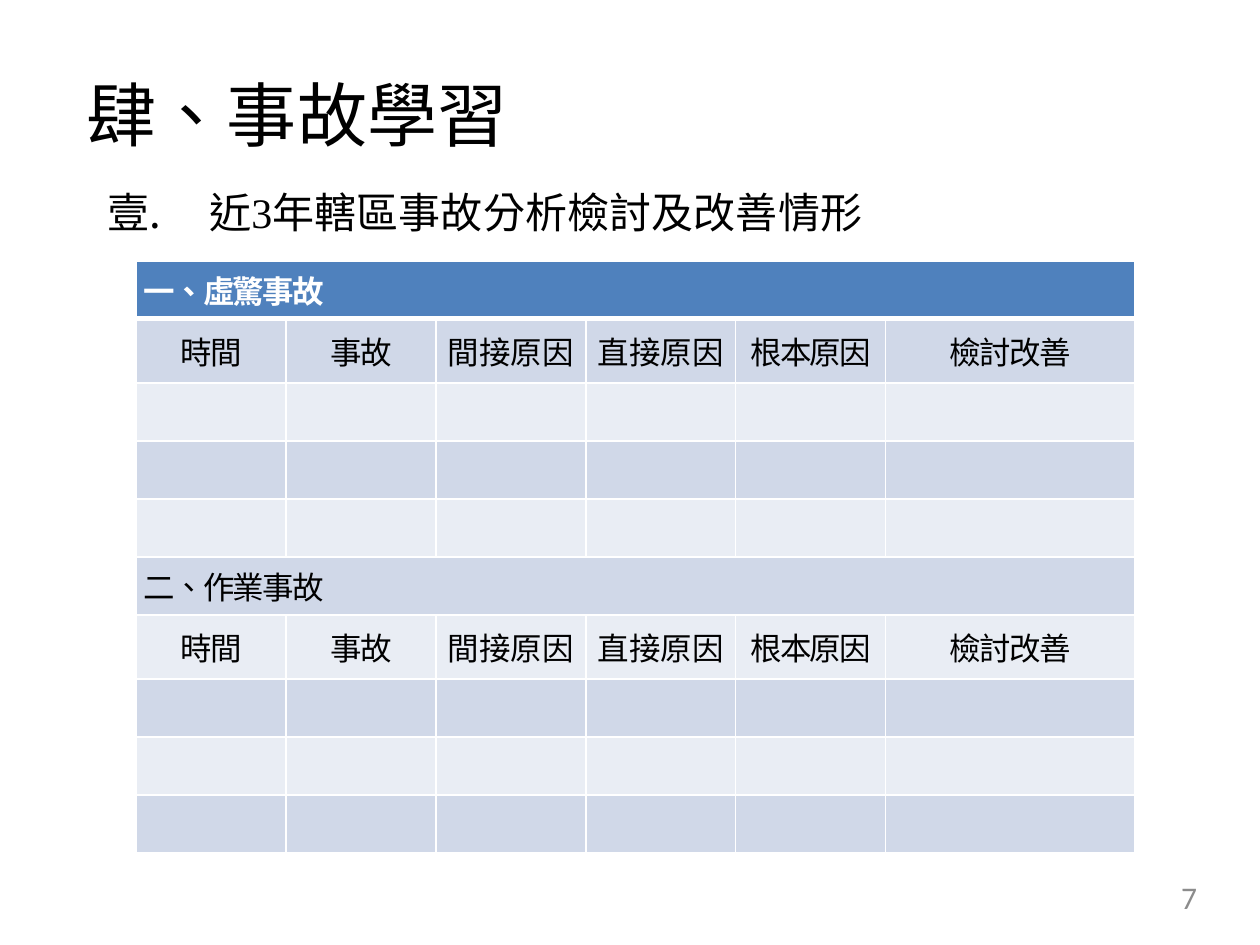
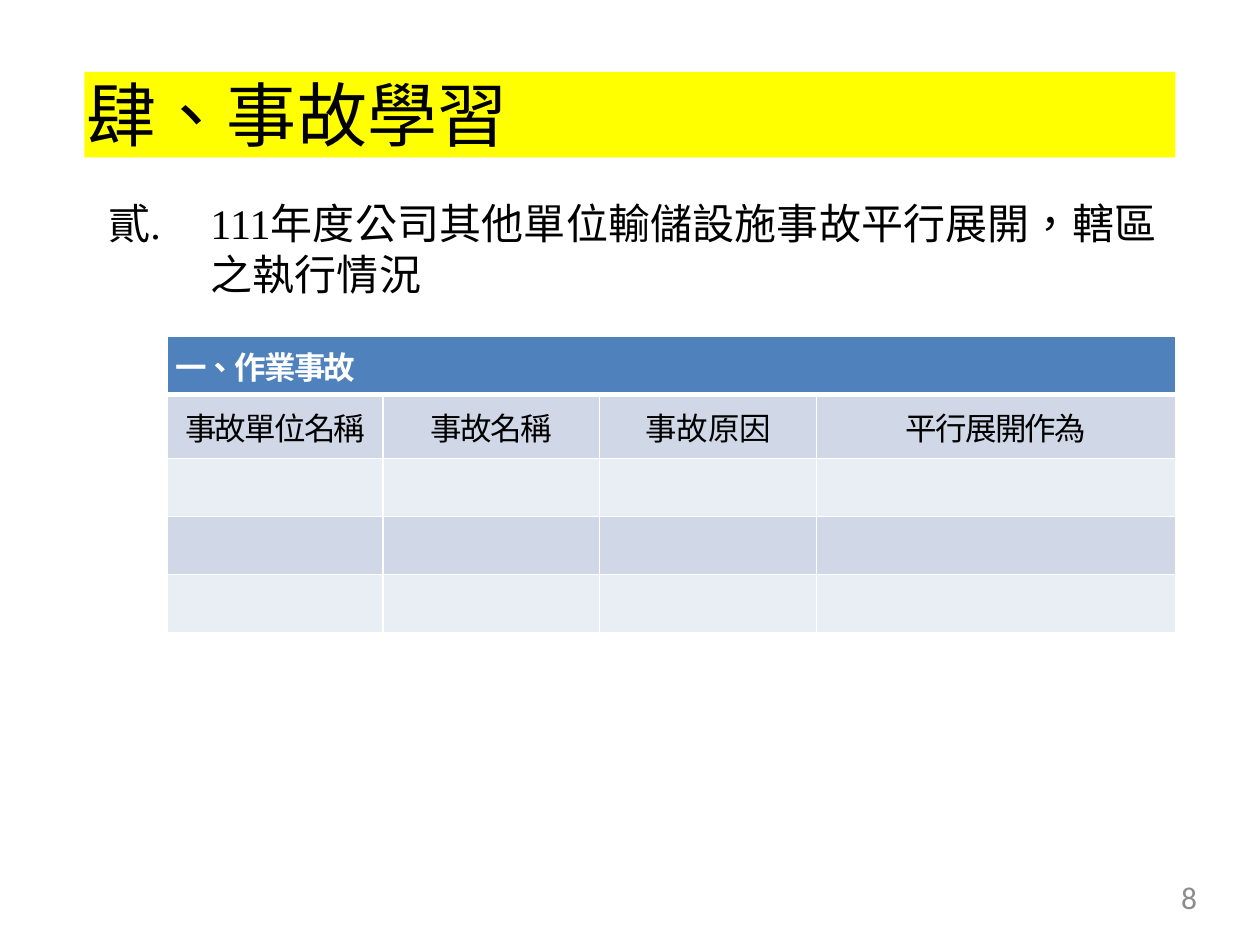
import pptx
import pptx.util
import pptx.dml.color
import pptx.enum.text
import pptx.oxml.ns
import lxml.etree

Inches = pptx.util.Inches
Pt = pptx.util.Pt
ALIGN = pptx.enum.text.PP_ALIGN

COLORS = {
    "ink": "000000",
    "white": "FFFFFF",
    "header": "4F81BD",
    "band_dark": "D0D8E8",
    "band_light": "E9EDF4",
    "number": "8C8C8C",
    "highlight": "FFFF00",
}
TITLE = "肆、事故學習"
TITLE_FONT = "Times New Roman"
TABLE_FONT = "Noto Sans CJK SC"
NUMBER_FONT = "Calibri"

CAUSES = ["時間", "事故", "間接原因", "直接原因", "根本原因", "檢討改善"]
UNITS = ["事故單位名稱", "事故名稱", "事故原因", "平行展開作為"]
UNTIGHTENED = {"間接原因", "直接原因", "事故原因"}
EMPTY_ROWS = 3
ROW_HEIGHT, LABEL_HEIGHT = 0.46, 0.51

SLIDES = [
    {
        "number": 7,
        "title_fill": None,
        "topic_box": (0.83, 1.48, 7.08, 0.4),
        "topic_index": 1,
        "topic": [("近", 0.1), ("3", -0.1), ("年轄區", 0.1), ("事", -0.2), ("故分析", 0.1),
                  ("檢", -0.2), ("討", 0.1), ("及", -0.2), ("改善情形", 0.1)],
        "table_at": (1.08, 2.07),
        "columns": [1.19] * 5 + [1.98],
        "sections": [("一、虛驚事故", CAUSES), ("二、作業事故", CAUSES)],
    },
    {
        "number": 8,
        "title_fill": "highlight",
        "topic_box": (0.84, 1.57, 8.66, 0.81),
        "topic_index": 2,
        "topic": [("111年度公司其他單位輸儲設施事故平行展開，轄區之執行情況", 0.1)],
        "table_at": (1.33, 2.67),
        "columns": [1.71, 1.72, 1.72, 2.85],
        "sections": [("一、作業事故", UNITS)],
    },
]


def rgb(name):
    return pptx.dml.color.RGBColor.from_string(COLORS[name])


def add_child(parent, tag, **attributes):
    child = lxml.etree.SubElement(parent, pptx.oxml.ns.qn(tag))
    for key, value in attributes.items():
        child.set(key, str(value))
    return child


def add_run(paragraph, text, font, size, color, spacing=0, bold=False):
    run = paragraph.add_run()
    run.text = text
    run.font.name = font
    run.font.size = Pt(size)
    run.font.bold = bold
    run.font.color.rgb = rgb(color)
    properties = run.font._element
    properties.set("lang", "zh-TW")
    properties.set("spc", str(round(spacing * 100)))


def add_text_box(slide, box):
    shape = slide.shapes.add_textbox(*map(Inches, box))
    frame = shape.text_frame
    frame.word_wrap = True
    frame.margin_left = frame.margin_right = frame.margin_top = frame.margin_bottom = 0
    return shape, frame.paragraphs[0]


def set_indent(paragraph, left, first):
    properties = paragraph._p.get_or_add_pPr()
    properties.set("marL", str(Inches(left)))
    properties.set("indent", str(Inches(first)))
    return properties


def add_title(slide, fill):
    shape, paragraph = add_text_box(slide, (0.67, 0.57, 8.66, 0.68))
    if fill:
        shape.fill.solid()
        shape.fill.fore_color.rgb = rgb(fill)
    set_indent(paragraph, 0.02, 0)
    add_run(paragraph, TITLE, TITLE_FONT, 40, "ink", 0.1)


def add_topic(slide, box, index, runs):
    shape, paragraph = add_text_box(slide, box)
    properties = set_indent(paragraph, 0.83, -0.81)
    add_child(properties, "a:buFont", typeface=TITLE_FONT)
    add_child(properties, "a:buAutoNum", type="ea1ChtPeriod", startAt=index)
    for text, spacing in runs:
        add_run(paragraph, text, TITLE_FONT, 24, "ink", spacing)


def add_number(slide, number):
    shape, paragraph = add_text_box(slide, (7.2, 6.97, 2.3, 0.38))
    paragraph.alignment = ALIGN.RIGHT
    add_run(paragraph, str(number), NUMBER_FONT, 18, "number")


def style_cell(cell, fill, top_width, bottom_width):
    cell.margin_left = cell.margin_right = Inches(0.06)
    cell.margin_top = cell.margin_bottom = Inches(0.03)
    cell.vertical_anchor = pptx.enum.text.MSO_ANCHOR.MIDDLE
    properties = cell._tc.get_or_add_tcPr()
    for side, width in (("L", 1), ("R", 1), ("T", top_width), ("B", bottom_width)):
        line = add_child(properties, "a:ln" + side, w=Pt(width))
        add_child(add_child(line, "a:solidFill"), "a:srgbClr", val=COLORS["white"])
    cell.fill.solid()
    cell.fill.fore_color.rgb = rgb(fill)


def add_accident_table(slide, position, columns, sections):
    rows = []
    for heading, labels in sections:
        rows += [[heading], labels] + [[]] * EMPTY_ROWS
    heights = [LABEL_HEIGHT if len(row) > 1 else ROW_HEIGHT for row in rows]
    box = (*position, sum(columns), sum(heights))
    table = slide.shapes.add_table(len(rows), len(columns), *map(Inches, box)).table
    for column, width in zip(table.columns, columns):
        column.width = Inches(width)
    for index, texts in enumerate(rows):
        table.rows[index].height = Inches(heights[index])
        is_header = index == 0
        is_heading = len(texts) == 1
        fill = "header" if is_header else ("band_light", "band_dark")[index % 2]
        for column in range(len(columns)):
            style_cell(table.cell(index, column), fill,
                       3 if index == 1 else 1, 3 if is_header else 1)
        if is_heading:
            table.cell(index, 0).merge(table.cell(index, len(columns) - 1))
        for column, text in enumerate(texts):
            paragraph = table.cell(index, column).text_frame.paragraphs[0]
            paragraph.alignment = ALIGN.LEFT if is_heading else ALIGN.CENTER
            add_run(paragraph, text, TABLE_FONT, 18, "white" if is_header else "ink",
                    0 if text in UNTIGHTENED else -1, is_header)


presentation = pptx.Presentation()
presentation.slide_width = Inches(10)
presentation.slide_height = Inches(7.5)
for content in SLIDES:
    slide = presentation.slides.add_slide(presentation.slide_layouts[6])
    add_title(slide, content["title_fill"])
    add_accident_table(slide, content["table_at"], content["columns"], content["sections"])
    add_number(slide, content["number"])
    add_topic(slide, content["topic_box"], content["topic_index"], content["topic"])
presentation.save("out.pptx")
